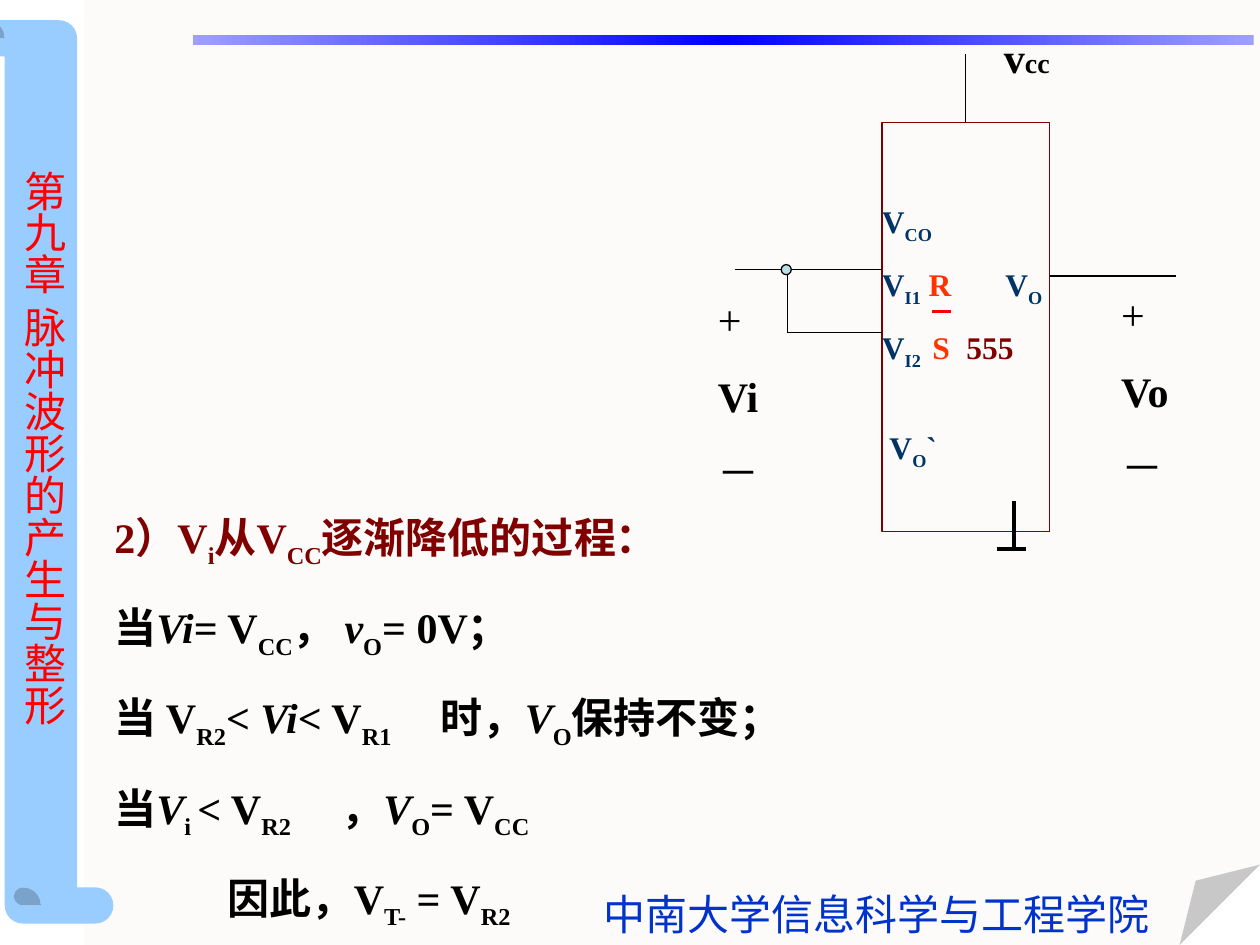
from copy import deepcopy

from lxml import etree
from pptx import Presentation
from pptx.dml.color import RGBColor
from pptx.enum.shapes import MSO_CONNECTOR, MSO_SHAPE
from pptx.enum.text import MSO_ANCHOR, PP_ALIGN
from pptx.oxml.ns import qn
from pptx.util import Inches, Pt

STRAIGHT = MSO_CONNECTOR.STRAIGHT
RECTANGLE, OVAL = MSO_SHAPE.RECTANGLE, MSO_SHAPE.OVAL
FOLDED_CORNER, SCROLL = MSO_SHAPE.FOLDED_CORNER, MSO_SHAPE.HORIZONTAL_SCROLL
TOP, LEFT, JUSTIFY = MSO_ANCHOR.TOP, PP_ALIGN.LEFT, PP_ALIGN.JUSTIFY

BLACK = RGBColor(0, 0, 0)
PAPER = RGBColor(0xFC, 0xFB, 0xFA)
SKY = RGBColor(0x99, 0xCC, 0xFF)
LAVENDER = RGBColor(0x9E, 0x9E, 0xFF)
BLUE = RGBColor(0, 0, 0xFF)
ROYAL = RGBColor(0, 0x33, 0xCC)
NAVY = RGBColor(0, 0x33, 0x66)
MAROON = RGBColor(0x80, 0, 0)
ORANGE = RGBColor(0xFF, 0x33, 0)
RED = RGBColor(0xFF, 0, 0)
TEAL = RGBColor(0xBB, 0xE0, 0xE3)

COLUMNS, ROWS = 100, 75
SERIF, CJK = "Times New Roman", "Noto Sans CJK SC"
SUBSCRIPT, ITALIC = "_", "~"


class CircuitSlide:
    def __init__(self, deck):
        self.slide = deck.slides.add_slide(deck.slide_layouts[6])
        self.column = deck.slide_width / COLUMNS
        self.row = deck.slide_height / ROWS

    def place(self, *lengths):
        units = (self.column, self.row) * 2
        return [round(length * unit) for length, unit in zip(lengths, units)]

    def shape(self, preset, at, fill=None, line=None, adjust=None):
        shape = self.slide.shapes.add_shape(preset, *self.place(*at))
        shape.shadow.inherit = False
        if fill is None:
            shape.fill.background()
        else:
            shape.fill.solid()
            shape.fill.fore_color.rgb = fill
        if line is None:
            shape.line.fill.background()
        else:
            shape.line.color.rgb = line
            shape.line.width = Pt(0.75)
        if adjust is not None:
            geometry = shape._element.spPr.find(qn("a:prstGeom"))
            guides = geometry.find(qn("a:avLst"))
            for guide in list(guides):
                guides.remove(guide)
            etree.SubElement(guides, qn("a:gd"), name="adj",
                             fmla=f"val {round(adjust * 100000)}")
        return shape

    def gradient_bar(self, at, edge, middle):
        bar = self.shape(RECTANGLE, at, edge)
        bar.fill.gradient()
        bar.fill.gradient_angle = 0
        for stop, color in zip(bar.fill.gradient_stops, (edge, middle)):
            stop.color.rgb = color
        stops = bar._element.spPr.find(qn("a:gradFill")).find(qn("a:gsLst"))
        stops[1].set("pos", "50000")
        last = deepcopy(stops[0])
        last.set("pos", "100000")
        stops.append(last)

    def line(self, start, end, color=BLACK, width=0.75):
        connector = self.slide.shapes.add_connector(
            STRAIGHT, *self.place(*start, *end))
        connector.line.color.rgb = color
        connector.line.width = Pt(width)
        etree.SubElement(connector._element.spPr, qn("a:effectLst"))
        return connector

    def frame(self, shape, wrap=True, insets=(0.1, 0.05)):
        frame = shape.text_frame
        frame.word_wrap = wrap
        frame.vertical_anchor = TOP
        frame.margin_left = frame.margin_right = Inches(insets[0])
        frame.margin_top = frame.margin_bottom = Inches(insets[1])
        return frame

    def text_box(self, at, **options):
        return self.frame(
            self.slide.shapes.add_textbox(*self.place(*at)), **options)

    def paragraph(self, frame, runs, color=BLACK, size=24, bold=False, font=SERIF,
                  before=15, spacing=None, align=LEFT, tabs=(), indent=0):
        first = not frame.paragraphs[0].runs
        paragraph = frame.paragraphs[0] if first else frame.add_paragraph()
        paragraph.alignment = align
        paragraph.space_before = Pt(0 if first else before)
        if spacing:
            paragraph.line_spacing = spacing
        properties = paragraph._p.get_or_add_pPr()
        if indent:
            properties.set("marL", str(Inches(indent)))
        if tabs:
            stops = etree.SubElement(properties, qn("a:tabLst"))
            for tab in tabs:
                etree.SubElement(
                    stops, qn("a:tab"), pos=str(Inches(tab)), algn="l")
        paragraph.font.size = Pt(size)
        paragraph.font.bold = bold
        paragraph.font.name = font
        paragraph.font.color.rgb = color
        for item in runs:
            words, tint = item if isinstance(item, tuple) else (item, None)
            run = paragraph.add_run()
            run.text = words.lstrip(SUBSCRIPT + ITALIC)
            if words.startswith(SUBSCRIPT):
                run._r.get_or_add_rPr().set("baseline", "-27000")
            if words.startswith(ITALIC):
                run.font.italic = True
            if tint is not None:
                run.font.color.rgb = tint
            etree.SubElement(
                run._r.get_or_add_rPr(), qn("a:ea"), typeface=CJK)


def draw_backdrop(page):
    page.shape(FOLDED_CORNER, (6.7, 0, 93.3, 75), PAPER, adjust=0.085)
    scroll = page.shape(SCROLL, (-32.6, 31.7, 71.7, 11.5), SKY, adjust=0.25)
    scroll.rotation = 270
    page.gradient_bar((15.3, 2.8, 84.2, 0.8), LAVENDER, BLUE)
    school = page.text_box((46.9, 70, 45.3, 5), wrap=False)
    page.paragraph(school, ["中南大学信息科学与工程学院"], ROYAL)
    chapter = page.text_box((0, 12.5, 6, 46), wrap=False, insets=(0.05, 0.1))
    chapter._txBody.bodyPr.set("vert", "eaVert")
    page.paragraph(chapter, ["第九章 脉冲波形的产生与整形"], RED, font=CJK)


def draw_timer(page):
    timer = page.shape(RECTANGLE, (70, 9.7, 13.3, 32.5), line=MAROON)
    pins = page.frame(timer, insets=(0, 0.05))
    pins.margin_top = Inches(0.63)
    pin_rows = [
        (["V", "_CO"], {}),
        (["V", "_I1", ("\tR", ORANGE), "\tV", "_O"], {"tabs": (0.37, 0.98)}),
        (["V", "_I2", ("\tS", ORANGE), ("\t555", MAROON)],
         {"tabs": (0.4, 0.67)}),
        (["V", "_O", "`"], {"indent": 0.06, "before": 32}),
    ]
    for runs, options in pin_rows:
        page.paragraph(pins, runs, NAVY, 18, True, **{"before": 11.2, **options})

    wires = [
        ((58.3, 21.4), (70, 21.4)),
        ((62.5, 21.4), (62.5, 26.4)),
        ((62.5, 26.4), (70, 26.4)),
        ((83.3, 21.9), (93.3, 21.9)),
    ]
    for start, end in wires:
        page.line(start, end)
    page.shape(OVAL, (62, 21, 0.8, 0.8), TEAL, BLACK)

    for name, at in (("Vi", (56, 22.8, 5.6, 17.2)),
                     ("Vo", (88, 22.4, 6.7, 17.2))):
        port = page.text_box(at)
        for words in ("+", name, "－"):
            page.paragraph(port, [words], bold=words == name)

    supply = page.line((76.9, 9.7), (76.9, 4.3))
    supply.begin_connect(timer, 0)
    supply.end_x = supply.begin_x
    supply_label = page.text_box((78.7, 2, 8, 5))
    page.paragraph(supply_label, ["v", "cc"], bold=True)
    supply_label.paragraphs[0].runs[1].font.size = Pt(16)

    page.line((80.5, 39.8), (80.5, 43.5), width=2.25)
    page.line((79.1, 43.6), (81.4, 43.6), width=2.25)
    page.line((74, 24.7), (75.5, 24.7), RED, 1.75)


def write_process(page):
    process = page.text_box((8.1, 40.1, 56.9, 34.8))
    page.paragraph(
        process, ["2）V", "_i", "从V", "_CC", "逐渐降低的过程："],
        MAROON, bold=True, align=JUSTIFY)
    steps = [
        (["当", "~Vi", "= V", "_CC", "， ", "~v", "_O", "= 0V；"], {}),
        (["当 V", "_R2", "<", "~ Vi", "< V", "_R1", "\t时，", "~V", "_O",
          "保持不变；"], {"tabs": (2.59,)}),
        (["当", "~V", "_i ", "< V", "_R2", "\t，", "~V", "_O", "= V", "_CC"],
         {"tabs": (1.8,)}),
        (["因此，V", "_T-", " = V", "_R2"], {"indent": 0.9}),
    ]
    for runs, options in steps:
        page.paragraph(process, runs, bold=True, spacing=1.1, align=JUSTIFY,
                       **options)


def main():
    deck = Presentation()
    deck.slide_width, deck.slide_height = Inches(10), Inches(7.5)
    page = CircuitSlide(deck)
    draw_backdrop(page)
    draw_timer(page)
    write_process(page)
    deck.save("out.pptx")


if __name__ == "__main__":
    main()
